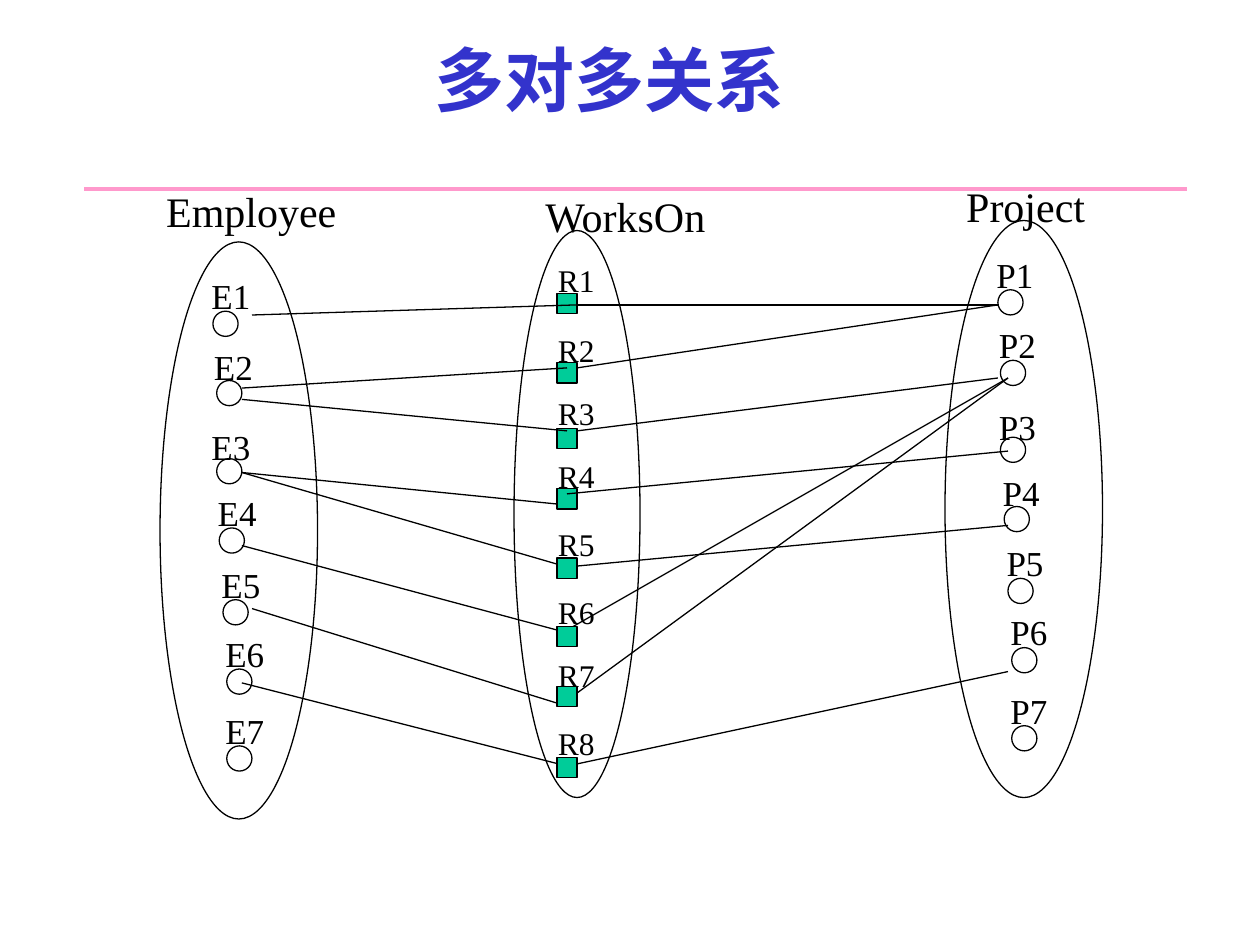
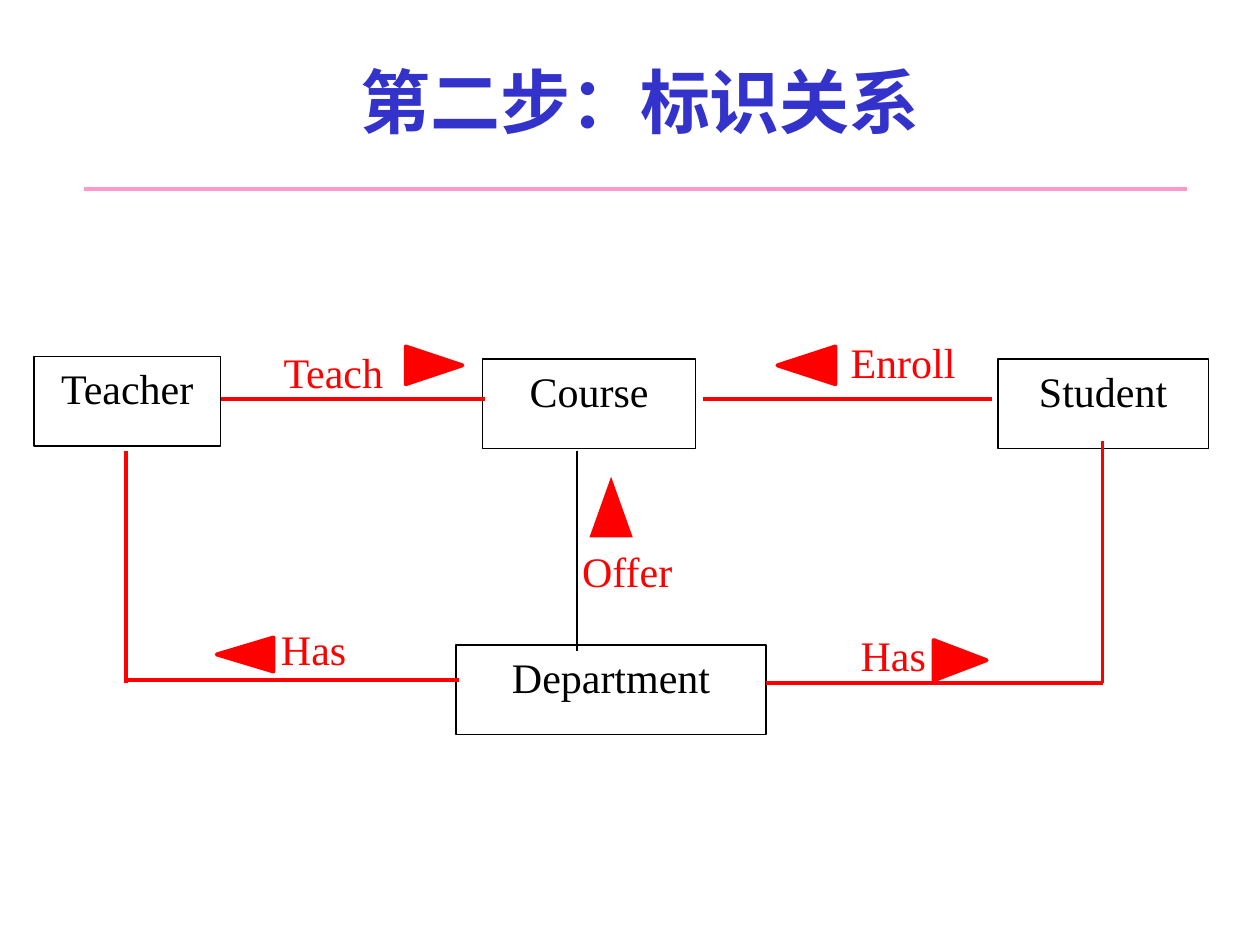
from dataclasses import dataclass

from lxml import etree
from pptx import Presentation
from pptx.dml.color import RGBColor
from pptx.enum.shapes import MSO_CONNECTOR, MSO_SHAPE
from pptx.enum.text import MSO_ANCHOR, MSO_AUTO_SIZE, PP_ALIGN
from pptx.oxml.ns import qn
from pptx.util import Cm, Pt

STRAIGHT = MSO_CONNECTOR.STRAIGHT
OVAL, RECTANGLE, MERGE = MSO_SHAPE.OVAL, MSO_SHAPE.RECTANGLE, MSO_SHAPE.FLOWCHART_MERGE
TOP, MIDDLE = MSO_ANCHOR.TOP, MSO_ANCHOR.MIDDLE
LEFT, CENTER, JUSTIFY = PP_ALIGN.LEFT, PP_ALIGN.CENTER, PP_ALIGN.JUSTIFY
TITLE_ONLY = 5


@dataclass(frozen=True)
class Theme:
    title_color: str = "3333CC"
    band: str = "FF99CC"
    ink: str = "000000"
    paper: str = "FFFFFF"
    accent: str = "FF0000"
    relation: str = "00CC99"
    title_font: str = "Noto Sans CJK SC"
    body_font: str = "Times New Roman"
    title_size: int = 40
    heading_size: int = 24
    item_size: int = 20
    relation_size: int = 18
    thin: float = 0.75
    band_width: float = 2
    thick: float = 2.25


THEME = Theme()

# Content: all positions are in inches and pass through length()
BAND = ((0.67, 1.5), (9.42, 1.5))

MANY_TITLE = ("多对多关系", (0, 0, 9.67, 1.25))
SETS = [  # heading, heading box, oval
    ("Employee", (1.22, 1.42, 1.55, 0.5), (1.27, 1.92, 1.25, 4.58)),
    ("WorksOn", (4.23, 1.46, 1.5, 0.5), (4.08, 1.83, 1, 4.5)),
    ("Project", (7.57, 1.38, 1.14, 0.5), (7.5, 1.75, 1.25, 4.58)),
]
MEMBERS = {  # corner of each circle
    "E": [(1.69, 2.47), (1.72, 3.02), (1.72, 3.64), (1.74, 4.19),
          (1.77, 4.76), (1.8, 5.31), (1.8, 5.92)],
    "P": [(7.92, 2.3), (7.94, 2.86), (7.94, 3.47), (7.97, 4.02),
          (8, 4.59), (8.03, 5.14), (8.03, 5.76)],
}
LABEL_NUDGES = {
    "E2": (-0.01, 0.01), "E3": (-0.03, 0.03), "P3": (0, 0.04), "P4": (0, 0.01),
    "R2": (0, 0.01), "R3": (0, -0.01), "R4": (0, 0.01), "R7": (0, 0.02),
}
RELATION_LEFT = 4.42
RELATIONS = [  # top of square, line from employee, line to project
    (2.33, (2, 2.5, 4.58, 2.42), (4.58, 2.42, 7.92, 2.42)),
    (2.88, (1.92, 3.08, 4.5, 2.92), (4.58, 2.92, 7.92, 2.42)),
    (3.4, (1.92, 3.17, 4.5, 3.42), (4.58, 3.42, 7.92, 3)),
    (3.88, (1.92, 3.75, 4.42, 4), (4.5, 3.92, 8, 3.58)),
    (4.43, (1.92, 3.75, 4.5, 4.5), (4.5, 4.5, 8, 4.17)),
    (4.97, (1.92, 4.33, 4.42, 5), (4.5, 5, 8, 3)),
    (5.45, (2, 4.83, 4.42, 5.58), (4.58, 5.5, 8, 3)),
    (6.01, (1.92, 5.42, 4.5, 6.08), (4.5, 6.08, 8, 5.33)),
]
SQUARES_ABOVE_LINES = {"R5", "R6", "R8"}

STEP_TITLE = ("第二步：标识关系", (0.83, 0.17, 8.5, 1.25))
ENTITIES = {
    "Student": (7.92, 2.85, 1.67, 0.71),
    "Department": (3.62, 5.12, 2.46, 0.71),
    "Course": (3.83, 2.85, 1.69, 0.71),
    "Teacher": (0.27, 2.83, 1.48, 0.71),
}
RED_LINES = [
    ((1.75, 3.17), (3.85, 3.17)),
    ((5.58, 3.17), (7.87, 3.17)),
    ((1, 3.58), (1, 5.42)),
    ((1, 5.4), (3.64, 5.4)),
    ((8.75, 3.5), (8.75, 5.42)),
    ((6.08, 5.42), (8.75, 5.42)),
]
OFFER_LINE = ((4.58, 3.58), (4.58, 5.17))
VERBS = [
    ("Offer", (4.62, 4.33, 1.3, 0.5)),
    ("Teach", (2.25, 2.75, 1.11, 0.32)),
    ("Enroll", (6.75, 2.67, 1.12, 0.49)),
    ("Has", (2.23, 4.95, 1.19, 0.46)),
    ("Has", (6.83, 5, 0.88, 0.33)),
]
SIDE_POINTERS = [  # base x, tip x, top, height
    (3.22, 3.67, 2.75, 0.3),
    (6.63, 6.17, 2.75, 0.3),
    (7.41, 7.83, 5.08, 0.32),
    (2.17, 1.72, 5.06, 0.27),
]
UP_POINTER = (4.7, 3.83, 0.3, 0.42)


# Shared helpers
def length(inches):
    return Cm(inches * 2.54)


def color(value):
    return RGBColor.from_string(value)


def set_outline(item, value, width):
    item.line.color.rgb = color(value)
    item.line.width = Pt(width)


def set_join(shape, join, **attributes):
    outline = shape._element.spPr.find(qn("a:ln"))
    etree.SubElement(outline, qn(f"a:{join}"), **attributes)


def write(box, text, size, ink, align=LEFT, anchor=TOP, font=THEME.body_font, bold=False):
    frame = box.text_frame
    frame.vertical_anchor = anchor
    para = frame.paragraphs[0]
    para.alignment = align
    span = para.add_run()
    span.text = text
    span.font.size = Pt(size)
    span.font.bold = bold
    span.font.color.rgb = color(ink)
    span.font.name = font
    etree.SubElement(span.font._element, qn("a:ea"), typeface=font)


def add_line(page, start, end, ink=THEME.ink, width=THEME.thin):
    line = page.shapes.add_connector(STRAIGHT, *map(length, (*start, *end)))
    set_outline(line, ink, width)
    etree.SubElement(line._element.spPr, qn("a:effectLst"))


def add_outlined(page, kind, area, fill=None, ink=THEME.ink, width=THEME.thin):
    shape = page.shapes.add_shape(kind, *map(length, area))
    shape.shadow.inherit = False
    if fill:
        shape.fill.solid()
        shape.fill.fore_color.rgb = color(fill)
    else:
        shape.fill.background()
    set_outline(shape, ink, width)
    return shape


def add_label(page, text, area, size):
    box = page.shapes.add_textbox(*map(length, area))
    frame = box.text_frame
    frame.word_wrap = False
    frame.auto_size = MSO_AUTO_SIZE.SHAPE_TO_FIT_TEXT
    frame.margin_right = 0
    write(box, text, size, THEME.ink)


def add_page(deck, title, area):
    page = deck.slides.add_slide(deck.slide_layouts[TITLE_ONLY])
    box = page.shapes.title
    box.left, box.top, box.width, box.height = map(length, area)
    box.text_frame.auto_size = MSO_AUTO_SIZE.NONE
    write(box, title, THEME.title_size, THEME.title_color, CENTER, MIDDLE,
          THEME.title_font, bold=True)
    add_line(page, *BAND, THEME.band, THEME.band_width)
    return page


# Many-to-many page
def add_item_label(page, name, x, y, area_size, size):
    nudge_x, nudge_y = LABEL_NUDGES.get(name, (0, 0))
    add_label(page, name, (x + nudge_x, y + nudge_y, *area_size), size)


def add_relation(page, name, top, links):
    def draw_links():
        for x1, y1, x2, y2 in links:
            add_line(page, (x1, y1), (x2, y2))

    if name in SQUARES_ABOVE_LINES:
        draw_links()
    add_outlined(page, RECTANGLE, (RELATION_LEFT, top, 0.16, 0.16), THEME.relation)
    add_item_label(page, name, RELATION_LEFT - 0.09, top - 0.31, (0.49, 0.4),
                   THEME.relation_size)
    if name not in SQUARES_ABOVE_LINES:
        draw_links()


def build_many_to_many(deck):
    page = add_page(deck, *MANY_TITLE)
    for heading, heading_area, oval_area in SETS:
        add_outlined(page, OVAL, oval_area)
        add_label(page, heading, heading_area, THEME.heading_size)
    for prefix, corners in MEMBERS.items():
        for number, (x, y) in enumerate(corners, 1):
            add_outlined(page, OVAL, (x, y, 0.2, 0.2))
            add_item_label(page, f"{prefix}{number}", x - 0.11, y - 0.34, (0.5, 0.43),
                           THEME.item_size)
    for number, (top, *links) in enumerate(RELATIONS, 1):
        add_relation(page, f"R{number}", top, links)


# Relationship page
def add_side_pointer(page, base, tip, top, height):
    corners = [(base, top), (tip, top + height / 2), (base, top + height)]
    points = [(length(x), length(y)) for x, y in corners]
    builder = page.shapes.build_freeform(*points[0], scale=1.0)
    builder.add_line_segments(points[1:], close=True)
    pointer = builder.convert_to_shape()
    pointer.shadow.inherit = False
    pointer.fill.solid()
    pointer.fill.fore_color.rgb = color(THEME.accent)
    set_outline(pointer, THEME.accent, THEME.thick)
    set_join(pointer, "round")


def build_relationships(deck):
    page = add_page(deck, *STEP_TITLE)
    for name, area in ENTITIES.items():
        box = add_outlined(page, RECTANGLE, area, THEME.paper)
        write(box, name, THEME.heading_size, THEME.ink, CENTER)

    for start, end in RED_LINES:
        add_line(page, start, end, THEME.accent, THEME.thick)
    add_line(page, *OFFER_LINE)

    for verb, area in VERBS:
        box = page.shapes.add_textbox(*map(length, area))
        frame = box.text_frame
        frame.word_wrap = True
        frame.margin_left = frame.margin_right = frame.margin_top = frame.margin_bottom = 0
        write(box, verb, THEME.heading_size, THEME.accent, JUSTIFY)

    for pointer in SIDE_POINTERS:
        add_side_pointer(page, *pointer)
    up = add_outlined(page, MERGE, UP_POINTER, THEME.accent, THEME.accent, THEME.thick)
    up.rotation = 180
    set_join(up, "miter", lim="800000")


def main():
    deck = Presentation()
    deck.slide_width, deck.slide_height = Cm(25.4), Cm(19.05)
    build_many_to_many(deck)
    build_relationships(deck)
    deck.save("out.pptx")


if __name__ == "__main__":
    main()
